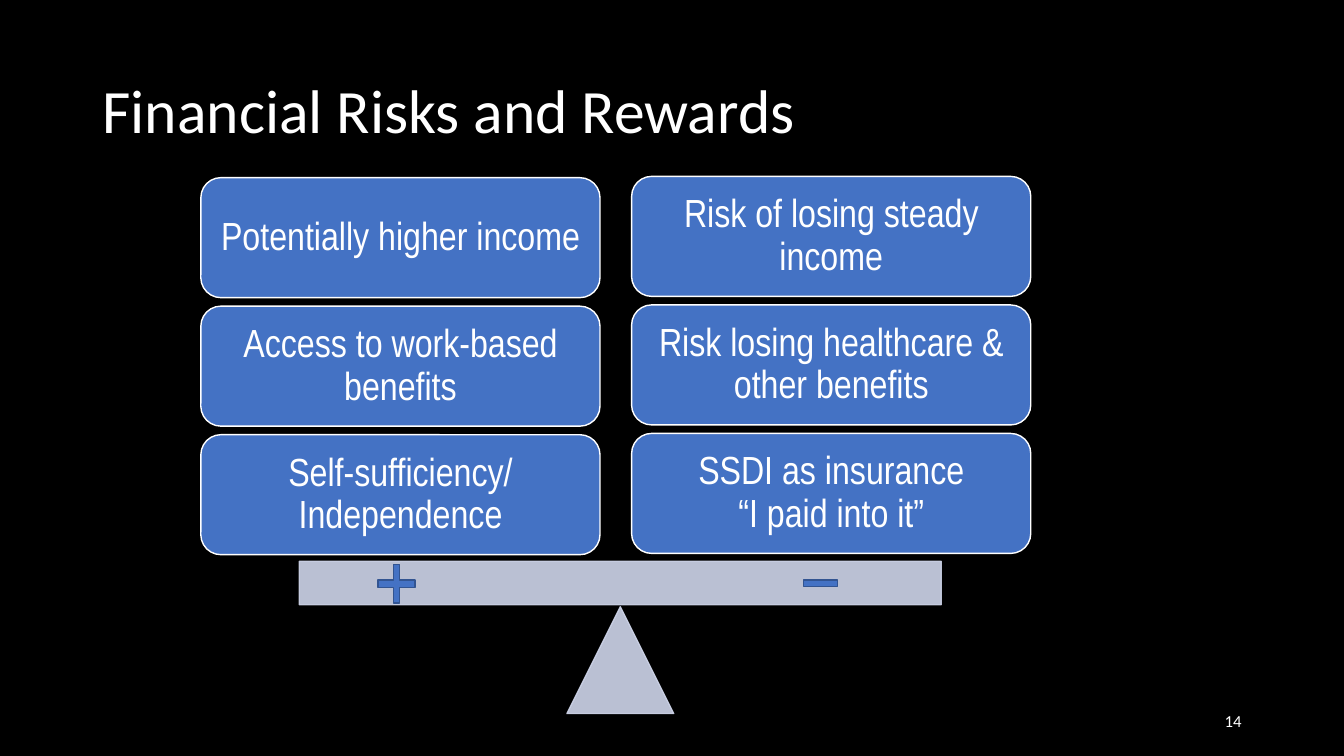
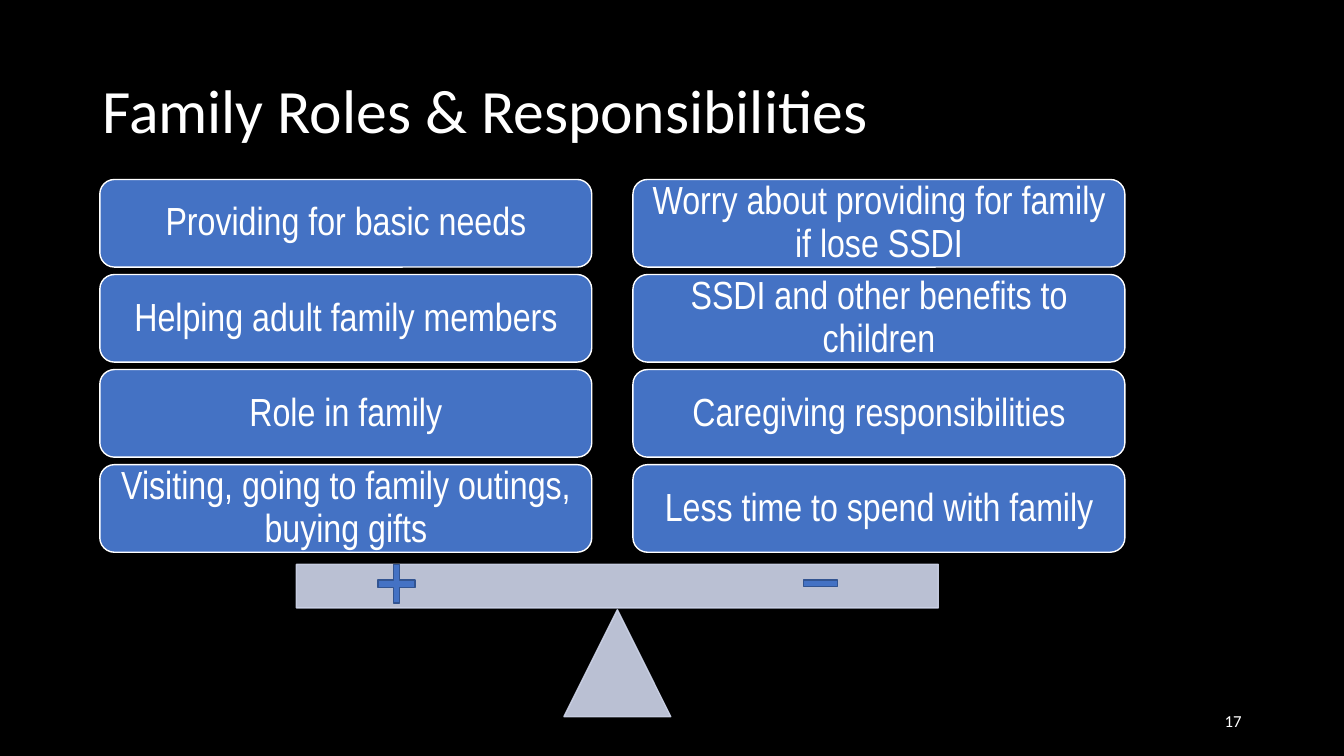
"""Build two slides that weigh rewards against risks on a balance."""
from lxml import etree
from pptx import Presentation
from pptx.dml.color import RGBColor
from pptx.enum.shapes import MSO_SHAPE
from pptx.enum.text import MSO_ANCHOR, MSO_AUTO_SIZE, PP_ALIGN
from pptx.oxml.ns import qn
from pptx.util import Pt

BLACK, WHITE = "000000", "FFFFFF"
CARD, SIGN_EDGE, SCALE = "4472C4", "325491", "CFD5EA"

SLIDES = [
    {
        "title": "Financial Risks and Rewards",
        "number": "14",
        "card_size": (285.1, 85.7),
        "pitch": 91.8,
        "beam": (213.8, 401),
        "columns": [
            (143.5, 126.9, ["Potentially higher income",
                            "Access to work-based benefits",
                            "Self-sufficiency/ Independence"]),
            (451.2, 126, ["Risk of losing steady income",
                          "Risk losing healthcare & other benefits",
                          "SSDI as insurance\n“I paid into it”"]),
        ],
    },
    {
        "title": "Family Roles & Responsibilities",
        "number": "17",
        "card_size": (351.4, 62.6),
        "pitch": 67.9,
        "beam": (211.7, 403.2),
        "columns": [
            (71.3, 128.2, ["Providing for basic needs",
                           "Helping adult family members",
                           "Role in family",
                           "Visiting, going to family outings, buying gifts"]),
            (452.1, 128.2, ["Worry about providing for family if lose SSDI",
                            "SSDI and other benefits to children",
                            "Caregiving responsibilities",
                            "Less time to spend with family"]),
        ],
    },
]

TITLE_BOX = (66, 28.8, 828, 104.4)
NUMBER_BOX = (678, 500.4, 216, 28.8)
BEAM_SIZE = (458.6, 31)
PIVOT_SIDE, PIVOT_DROP = 76.3, 32.4
PLUS_BOX = (270, 403.2, 26.6, 27.4)
MINUS_BOX = (569.5, 406.8, 33.1, 19.4)
INSET = 8.64

TITLE_STYLE = {"font": {"name": "Calibri", "size": Pt(44)},
               "paragraph": {"alignment": PP_ALIGN.LEFT, "line_spacing": 0.9}}
NUMBER_STYLE = {"font": {"name": "Calibri", "size": Pt(12)},
                "paragraph": {"alignment": PP_ALIGN.RIGHT}}
CARD_STYLE = {"font": {"name": "Arial Narrow", "size": Pt(28)},
              "paragraph": {"alignment": PP_ALIGN.CENTER, "line_spacing": 0.9}}
FRAME = {"word_wrap": True, "auto_size": MSO_AUTO_SIZE.NONE,
         "vertical_anchor": MSO_ANCHOR.MIDDLE}
CARD_FRAME = {f"margin_{side}": Pt(INSET)
              for side in ("left", "top", "right", "bottom")}


def rgb(code):
    return RGBColor.from_string(code)


def points(values):
    return [Pt(value) for value in values]


def apply(target, values):
    for name, value in values.items():
        setattr(target, name, value)


def write(frame, words, style):
    apply(frame, FRAME)
    frame.text = words
    for paragraph in frame.paragraphs:
        apply(paragraph, style["paragraph"])
        apply(paragraph.font, style["font"])
        paragraph.font.color.rgb = rgb(WHITE)


def add_block(slide, preset, box, fill, edge, opacity=None):
    block = slide.shapes.add_shape(preset, *points(box))
    block.shadow.inherit = False
    block.fill.solid()
    block.fill.fore_color.rgb = rgb(fill)
    block.line.color.rgb = rgb(edge)
    block.line.width = Pt(1)
    if opacity:
        for color in block._element.spPr.iter(qn("a:srgbClr")):
            etree.SubElement(color, qn("a:alpha"), val=str(opacity * 1000))
    return block


def add_scale(slide, left, top):
    width, height = BEAM_SIZE
    pivot = (left + (width - PIVOT_SIDE) / 2, top + PIVOT_DROP,
             PIVOT_SIDE, PIVOT_SIDE)
    beam = (left, top, width, height)
    for preset, box in ((MSO_SHAPE.ISOSCELES_TRIANGLE, pivot),
                        (MSO_SHAPE.RECTANGLE, beam)):
        add_block(slide, preset, box, SCALE, SCALE, opacity=90)


def add_cards(slide, content):
    for left, top, labels in content["columns"]:
        for row, label in enumerate(labels):
            box = (left, top + row * content["pitch"], *content["card_size"])
            card = add_block(slide, MSO_SHAPE.ROUNDED_RECTANGLE, box, CARD, WHITE)
            apply(card.text_frame, CARD_FRAME)
            write(card.text_frame, label, CARD_STYLE)


def add_signs(slide):
    plus = add_block(slide, MSO_SHAPE.CROSS, PLUS_BOX, CARD, SIGN_EDGE)
    plus.adjustments[0] = 0.42
    add_block(slide, MSO_SHAPE.MATH_MINUS, MINUS_BOX, CARD, SIGN_EDGE)


def add_balance_slide(deck, layout, content):
    slide = deck.slides.add_slide(layout)
    write(slide.shapes.title.text_frame, content["title"], TITLE_STYLE)
    add_scale(slide, *content["beam"])
    add_cards(slide, content)
    number = slide.shapes.add_textbox(*points(NUMBER_BOX))
    write(number.text_frame, content["number"], NUMBER_STYLE)
    add_signs(slide)


def main():
    deck = Presentation()
    deck.slide_width, deck.slide_height = Pt(960), Pt(540)
    background = deck.slide_master.background.fill
    background.solid()
    background.fore_color.rgb = rgb(BLACK)
    layout = deck.slide_layouts[5]
    apply(layout.placeholders[0],
          dict(zip(("left", "top", "width", "height"), points(TITLE_BOX))))
    for content in SLIDES:
        add_balance_slide(deck, layout, content)
    deck.save("out.pptx")


if __name__ == "__main__":
    main()
